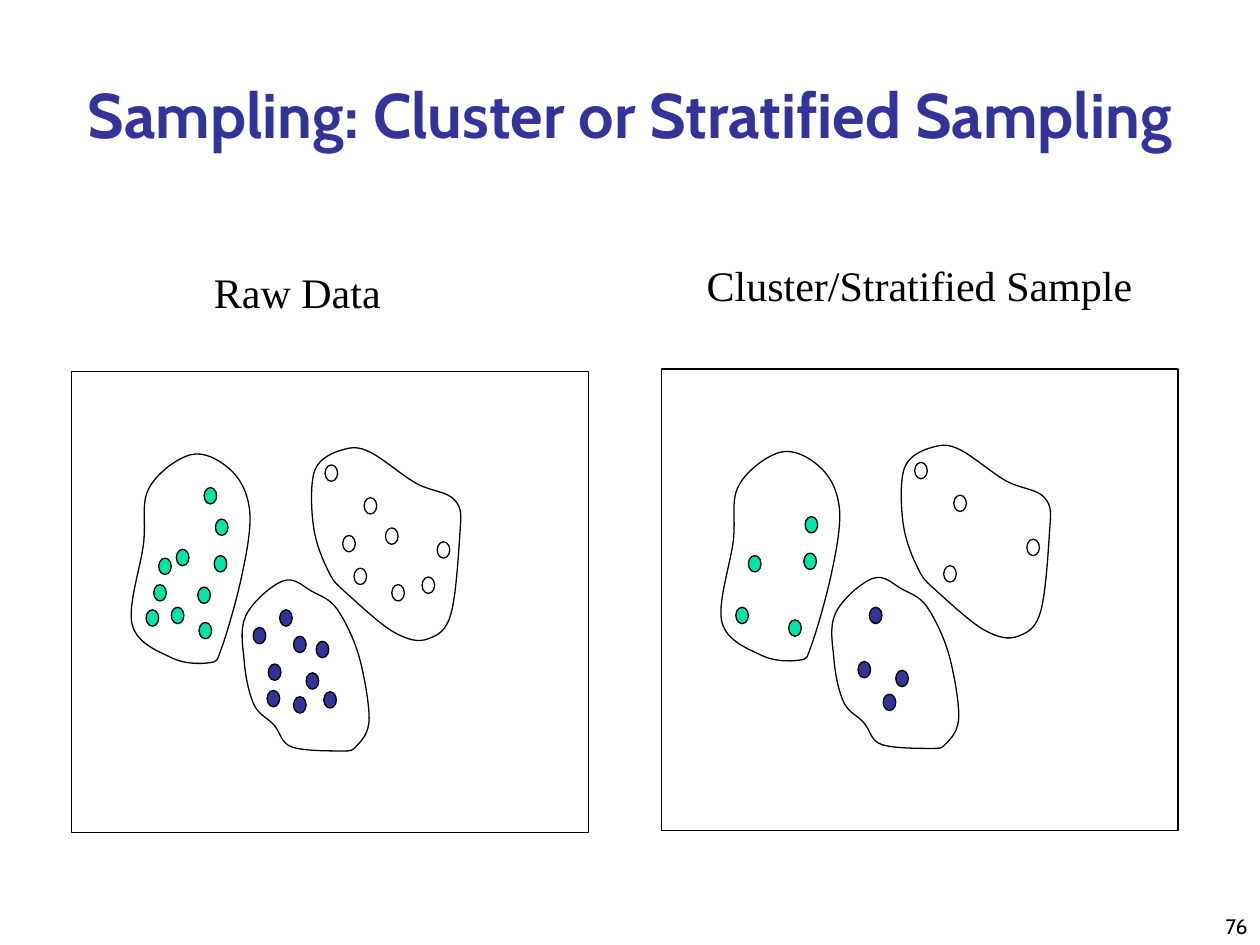
from dataclasses import dataclass

from lxml.etree import SubElement
from pptx import Presentation
from pptx.dml.color import RGBColor
from pptx.enum.shapes import MSO_SHAPE as Shape
from pptx.enum.text import MSO_ANCHOR as Anchor, MSO_AUTO_SIZE as AutoSize, PP_ALIGN as Align
from pptx.oxml.ns import qn
from pptx.util import Emu, Pt

PX = 9144  # EMU in one px, 100 px to the inch


@dataclass(frozen=True)
class Theme:
    ink: str = "000000"
    white: str = "FFFFFF"
    blue: str = "333399"
    green: str = "00E4A8"
    sans: str = "Cabin"
    serif: str = "Times New Roman"
    title: int = 36
    label: int = 24
    number: int = 12
    line: float = 0.75


@dataclass(frozen=True)
class Stratum:
    color: str
    outline: list  # points that a smooth closed curve runs through
    sampled: list
    unsampled: list


THEME = Theme()
DOT_W, DOT_H = 10, 13
PANEL = (57, 295, 410, 366)
SAMPLE_SHIFT = (468, -2)

STRATA = [
    Stratum(
        THEME.white,
        [(361, 397), (365, 424), (358, 487), (340, 507), (313, 502), (273, 469),
         (260, 452), (249, 419), (250, 373), (272, 357), (294, 359), (331, 384)],
        [(289, 395), (281, 451), (347, 430), (258, 369)],
        [(306, 419), (272, 425), (335, 458), (311, 464)],
    ),
    Stratum(
        THEME.blue,
        [(218, 576), (202, 560), (194, 526), (195, 489), (225, 461), (247, 469),
         (268, 484), (285, 521), (293, 570), (283, 592), (271, 596), (232, 593)],
        [(233, 553), (243, 534), (213, 527), (222, 484)],
        [(201, 498), (251, 509), (212, 548), (233, 505), (257, 549)],
    ),
    Stratum(
        THEME.green,
        [(191, 461), (176, 514), (166, 526), (136, 522), (105, 496), (114, 431),
         (118, 388), (151, 361), (182, 372), (198, 404)],
        [(116, 484), (126, 443), (158, 494), (170, 441), (171, 412)],
        [(136, 482), (122, 464), (157, 466), (140, 436), (162, 387)],
    ),
]


def smooth(points):
    """Start point, then two controls and an end for each curve between neighbours."""
    n = len(points)
    result = [points[0]]
    for i in range(n):
        before, start, end, after = (points[(i + k) % n] for k in (-1, 0, 1, 2))
        result.append(tuple(b + (c - a) / 6 for a, b, c in zip(before, start, end)))
        result.append(tuple(b - (c - a) / 6 for a, b, c in zip(start, end, after)))
        result.append(end)
    return result


class Deck:
    def __init__(self, theme, width, height):
        self.theme = theme
        self.prs = Presentation()
        self.prs.slide_width, self.prs.slide_height = Emu(width * PX), Emu(height * PX)
        self.s = self.prs.slides.add_slide(self.prs.slide_layouts[5])

    def style(self, p, font, size, color, bold=False, align=Align.LEFT):
        p.alignment = align
        f = p.runs[0].font
        f.name, f.size, f.bold = font, Pt(size), bold
        f.color.rgb = RGBColor.from_string(color)

    def title(self, text, x, y, w, h):
        sp = self.s.shapes.title
        sp.left, sp.top, sp.width, sp.height = (Emu(v * PX) for v in (x, y, w, h))
        tf = sp.text_frame
        tf.text = text
        tf.vertical_anchor, tf.auto_size = Anchor.BOTTOM, AutoSize.NONE
        t = self.theme
        self.style(tf.paragraphs[0], t.sans, t.title, t.blue, True, Align.CENTER)

    def text(self, text, x, y, w, h):
        tf = self.s.shapes.add_textbox(*(Emu(v * PX) for v in (x, y, w, h))).text_frame
        tf.text = text
        return tf

    def label(self, text, x, y, w, h):
        tf = self.text(text, x, y, w, h)
        tf.word_wrap, tf.auto_size = False, AutoSize.SHAPE_TO_FIT_TEXT
        self.style(tf.paragraphs[0], self.theme.serif, self.theme.label, self.theme.ink)

    def page_number(self, text, x, y, w, h):
        tf = self.text(text, x, y, w, h)
        tf.word_wrap, tf.vertical_anchor = True, Anchor.BOTTOM
        t = self.theme
        self.style(tf.paragraphs[0], t.sans, t.number, t.ink, align=Align.RIGHT)

    def paint(self, sp, fill=None):
        sp.shadow.inherit = False
        if fill:
            sp.fill.solid()
            sp.fill.fore_color.rgb = RGBColor.from_string(fill)
        else:
            sp.fill.background()
        sp.line.color.rgb = RGBColor.from_string(self.theme.ink)
        sp.line.width = Pt(self.theme.line)

    def shape(self, group, kind, x, y, w, h, fill=None):
        sp = group.shapes.add_shape(kind, *(Emu(v * PX) for v in (x, y, w, h)))
        self.paint(sp, fill)

    def curve(self, group, points):
        start, *rest = smooth(points)
        fb = group.shapes.build_freeform(*start, scale=PX)
        fb.add_line_segments(rest, close=True)
        sp = fb.convert_to_shape()
        # Turn each three straight segments into one Bezier curve
        segments = list(sp.element.iter(qn("a:lnTo")))
        for i in range(0, len(segments), 3):
            bezier = SubElement(segments[i].getparent(), qn("a:cubicBezTo"))
            segments[i].addprevious(bezier)
            for segment in segments[i:i + 3]:
                bezier.append(segment[0])
                segment.getparent().remove(segment)
        self.paint(sp)

    def panel(self, dx=0, dy=0, sample_only=False):
        group = self.s.shapes.add_group_shape()
        x, y, w, h = PANEL
        self.shape(group, Shape.RECTANGLE, x + dx, y + dy, w, h)
        for st in STRATA:
            self.curve(group, [(px + dx, py + dy) for px, py in st.outline])
            for px, py in st.sampled + ([] if sample_only else st.unsampled):
                self.shape(group, Shape.FLOWCHART_CONNECTOR, px + dx, py + dy,
                           DOT_W, DOT_H, st.color)


def main():
    deck = Deck(THEME, 1000, 750)
    # Title and page number
    deck.title("Sampling: Cluster or Stratified Sampling", 25, 33, 950, 92)
    deck.page_number("76", 792, 700, 208, 50)
    # All data on the left, the sample drawn from it on the right
    deck.panel()
    deck.panel(*SAMPLE_SHIFT, sample_only=True)
    # Panel labels
    deck.label("Raw Data", 160, 207, 160, 50)
    deck.label("Cluster/Stratified Sample", 551, 201, 358, 50)
    deck.prs.save("out.pptx")


if __name__ == "__main__":
    main()
